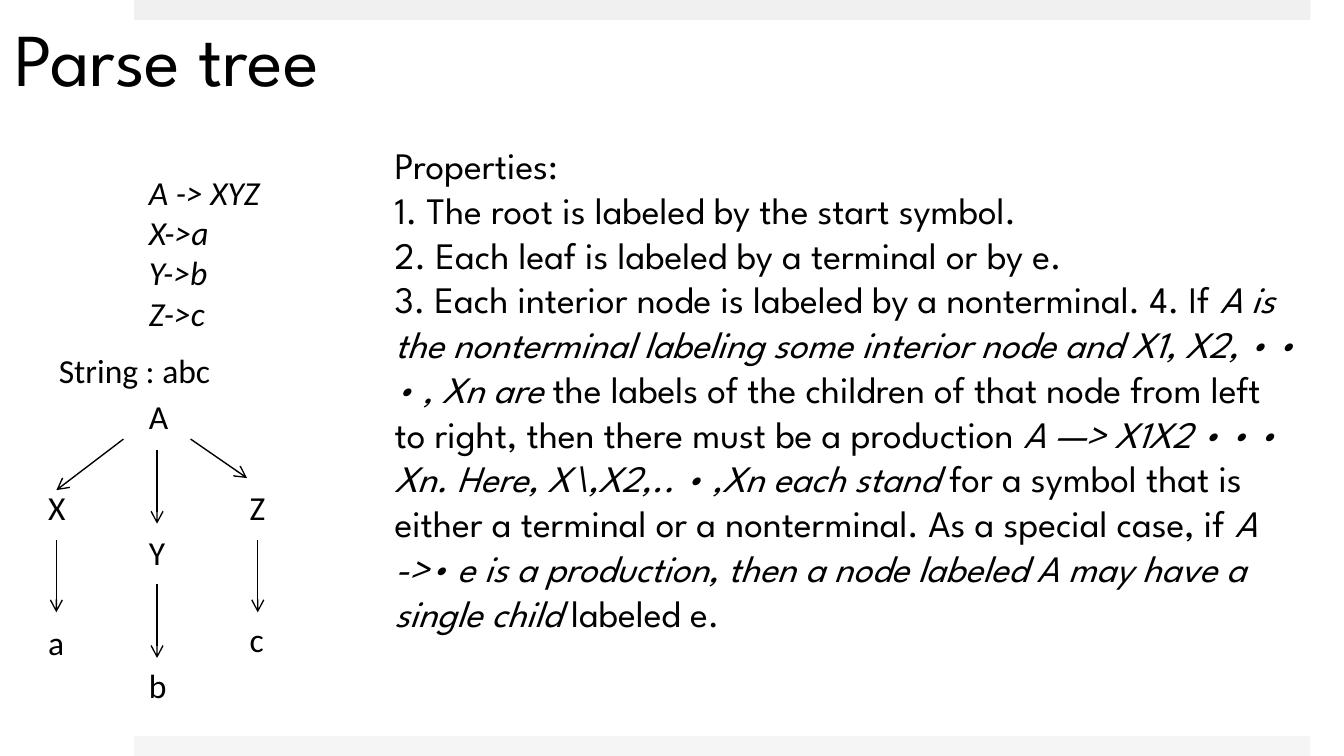
"""Build the parse tree slide with its grammar, derivation tree and properties."""
from pptx import Presentation
from pptx.dml.color import RGBColor
from pptx.enum.shapes import MSO_CONNECTOR as CONN, MSO_SHAPE as SHAPE
from pptx.enum.text import MSO_ANCHOR as ANCHOR, MSO_AUTO_SIZE as AUTO, PP_ALIGN as ALIGN
from pptx.oxml.ns import qn
from pptx.util import Inches, Pt
from lxml.etree import SubElement

BLACK = RGBColor(0x00, 0x00, 0x00)
TOP_GRAY = RGBColor(0xF1, 0xF0, 0xF0)
BOTTOM_GRAY = RGBColor(0xF5, 0xF5, 0xF5)
HEADING_FONT = "League Spartan"
LABEL_FONT = "Calibri"


def add_text(x, y, w, h, paragraphs, font=LABEL_FONT, size=18, wrap=True):
    tf = s.shapes.add_textbox(Inches(x), Inches(y), Inches(w), Inches(h)).text_frame
    tf.word_wrap = wrap
    for i, runs in enumerate(paragraphs):
        p = tf.paragraphs[0] if i == 0 else tf.add_paragraph()
        p.font.name = font
        p.font.size = Pt(size)
        p.font.color.rgb = BLACK
        for text, italic in runs:
            r = p.add_run()
            r.text = text
            r.font.italic = italic


def add_arrow(x1, y1, x2, y2):
    line = s.shapes.add_connector(CONN.STRAIGHT, Inches(x1), Inches(y1), Inches(x2), Inches(y2))
    line.line.color.rgb = BLACK
    line.line.width = Pt(0.75)
    SubElement(line.line._get_or_add_ln(), qn("a:tailEnd"), type="arrow")
    SubElement(line._element.spPr, qn("a:effectLst"))


prs = Presentation()
prs.slide_width, prs.slide_height = Inches(10.01), Inches(5.63)
s = prs.slides.add_slide(prs.slide_layouts[5])

for y, color in [(0, TOP_GRAY), (5.48, BOTTOM_GRAY)]:
    band = s.shapes.add_shape(SHAPE.RECTANGLE, Inches(1), Inches(y), Inches(8.76), Inches(0.15))
    band.shadow.inherit = False
    band.fill.solid()
    band.fill.fore_color.rgb = color
    band.line.fill.background()

title = s.shapes.title
title.left, title.top, title.width, title.height = map(Inches, (0.01, 0.04, 3.17, 0.77))
tf = title.text_frame
tf.text = "Parse tree"
tf.auto_size = AUTO.NONE
tf.vertical_anchor = ANCHOR.TOP
p = tf.paragraphs[0]
p.alignment = ALIGN.LEFT
p.font.name = HEADING_FONT
p.font.size = Pt(40)
p.font.color.rgb = BLACK

productions = ["A -> XYZ", "X->a", "Y->b", "Z->c"]
add_text(1.01, 1.23, 1.08, 1.3, [[(text, True)] for text in productions], wrap=False)
add_text(0.34, 2.56, 1.67, 0.4, [[("String : abc", False)]])

nodes = [
    ("A", 1.01, 2.9), ("X", 0.26, 3.58), ("Y", 1.01, 3.91), ("Z", 1.76, 3.58),
    ("a", 0.26, 4.58), ("b", 1.01, 4.9), ("c", 1.76, 4.56),
]
for label, x, y in nodes:
    add_text(x, y, 0.58 if label.isupper() else 0.42, 0.4, [[(label, False)]])

edges = [
    (0.92, 3.27, 0.42, 3.65), (1.17, 3.35, 1.17, 3.9), (1.42, 3.27, 1.84, 3.56),
    (0.42, 4.02, 0.42, 4.56), (1.17, 4.35, 1.17, 4.9), (1.92, 4.02, 1.92, 4.56),
]
for edge in edges:
    add_arrow(*edge)

properties = [
    [("Properties:", False)],
    [("1. The root is labeled by the start symbol.", False)],
    [("2. Each leaf is labeled by a terminal or by e.", False)],
    [
        ("3. Each interior node is labeled by a nonterminal. 4. If ", False),
        ("A is the nonterminal labeling some interior node and X1, X2, • • • , Xn are ", True),
        ("the labels of the children of that node from left to right, "
         "then there must be a production ", False),
        ("A —> X1X2 • • • Xn. Here, X\\,X2,.. • ,Xn each stand", True),
        (" for a symbol that is either a terminal or a nonterminal. "
         "As a special case, if ", False),
        ("A ->• e is a production, then a node labeled A may have a single child ", True),
        ("labeled e.", False),
    ],
]
add_text(2.84, 1.01, 6.92, 4.1, properties, font=HEADING_FONT, size=20)

prs.save("out.pptx")
